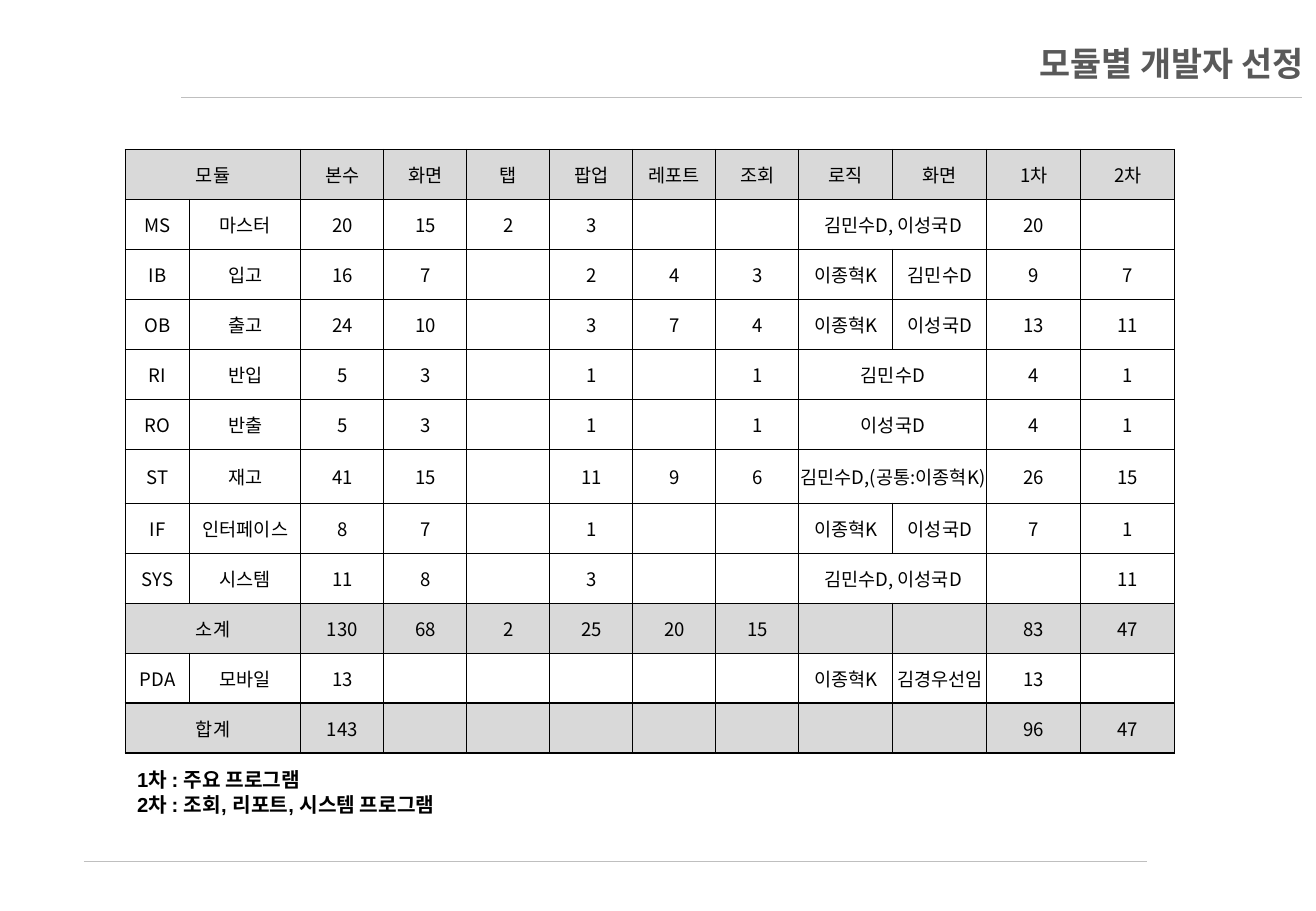
from dataclasses import dataclass

from lxml.etree import SubElement
from pptx import Presentation
from pptx.dml.color import RGBColor as Rgb
from pptx.enum.dml import MSO_LINE as Dash
from pptx.enum.shapes import MSO_CONNECTOR as Connector
from pptx.enum.text import MSO_ANCHOR as Anchor, MSO_AUTO_SIZE as AutoSize, PP_ALIGN as Align
from pptx.oxml import parse_xml
from pptx.oxml.ns import nsdecls, qn
from pptx.util import Pt

EMU_PER_PX = 9144
TITLE_ONLY = 5
MERGE_LEFT = "<"


@dataclass(frozen=True)
class Theme:
    """Colours, fonts and sizes of the slide."""
    ink: str = "000000"
    band: str = "D9D9D9"
    rule: str = "BFBFBF"
    title_top: str = "595959"
    title_bottom: str = "262626"
    latin: str = "Arial"
    korean: str = "Noto Sans CJK KR"
    title_size: int = 20
    table_size: int = 11
    note_size: int = 12
    rule_width: float = 0.25
    border_width: float = 0.75


THEME = Theme()
TITLE = "모듈별 개발자 선정"
COLUMN_WEIGHTS = [53, 91] + [68] * 6 + [77] * 4
BAND_LABELS = {"모듈", "소계", "합계"}
MODULE_ROWS = [row.split("|") for row in (
    "모듈|<|본수|화면|탭|팝업|레포트|조회|로직|화면|1차|2차",
    "MS|마스터|20|15|2|3|||김민수D, 이성국D|<|20|",
    "IB|입고|16|7||2|4|3|이종혁K|김민수D|9|7",
    "OB|출고|24|10||3|7|4|이종혁K|이성국D|13|11",
    "RI|반입|5|3||1||1|김민수D|<|4|1",
    "RO|반출|5|3||1||1|이성국D|<|4|1",
    "ST|재고|41|15||11|9|6|김민수D,(공통:이종혁K)|<|26|15",
    "IF|인터페이스|8|7||1|||이종혁K|이성국D|7|1",
    "SYS|시스템|11|8||3|||김민수D, 이성국D|<||11",
    "소계|<|130|68|2|25|20|15|||83|47",
    "PDA|모바일|13||||||이종혁K|김경우선임|13|",
    "합계|<|143||||||||96|47",
)]
PHASE_NOTES = ["1차 : 주요 프로그램", "2차 : 조회, 리포트, 시스템 프로그램"]


def px(length):
    """Turn pixels into EMU."""
    return round(length * EMU_PER_PX)


def apply(target, formats):
    """Set each format value on the target."""
    for name, value in formats.items():
        setattr(target, name, value)


def write(paragraph, text, align, size, latin, bold=False):
    """Put one formatted run in the paragraph and return its font."""
    paragraph.alignment = align
    run = paragraph.add_run()
    run.text = text
    apply(run.font, {"size": Pt(size), "name": latin, "bold": bold})
    run.font.color.rgb = Rgb.from_string(THEME.ink)
    SubElement(run.font._element, qn("a:ea"), typeface=THEME.korean)
    return run.font


def add_title(slide, box):
    """Place the right-aligned title with its gradient text."""
    title = slide.shapes.title
    apply(title, dict(zip(("left", "top", "width", "height"), map(px, box))))
    frame = title.text_frame
    apply(frame, {"vertical_anchor": Anchor.MIDDLE, "word_wrap": True, "auto_size": AutoSize.NONE})
    font = write(frame.paragraphs[0], TITLE, Align.RIGHT, THEME.title_size, THEME.latin, True)
    font.fill.gradient()
    font.fill.gradient_angle = 90
    for stop, colour in zip(font.fill.gradient_stops, (THEME.title_top, THEME.title_bottom)):
        stop.color.rgb = Rgb.from_string(colour)


def add_rule(slide, box):
    """Draw a dotted horizontal rule along the top of the box."""
    left, top, width, _ = box
    rule = slide.shapes.add_connector(
        Connector.STRAIGHT, px(left), px(top), px(left + width), px(top))
    apply(rule.line, {"width": Pt(THEME.rule_width), "dash_style": Dash.ROUND_DOT})
    rule.line.color.rgb = Rgb.from_string(THEME.rule)
    SubElement(rule._element.spPr, qn("a:effectLst"))


def add_borders(cell):
    """Give the cell a thin border on all four sides."""
    properties = cell._tc.get_or_add_tcPr()
    for position, side in enumerate(("lnL", "lnR", "lnT", "lnB")):
        properties.insert(position, parse_xml(
            f'<a:{side} {nsdecls("a")} w="{Pt(THEME.border_width)}"><a:solidFill>'
            f'<a:srgbClr val="{THEME.ink}"/></a:solidFill></a:{side}>'))


def format_cell(cell, text, banded):
    """Fill, border and write one table cell."""
    margins = dict.fromkeys(("margin_left", "margin_right", "margin_top", "margin_bottom"), 0)
    apply(cell, {"vertical_anchor": Anchor.MIDDLE, **margins})
    if banded:
        cell.fill.solid()
        cell.fill.fore_color.rgb = Rgb.from_string(THEME.band)
    else:
        cell.fill.background()
    add_borders(cell)
    if text and text != MERGE_LEFT:
        write(cell.text_frame.paragraphs[0], text, Align.CENTER, THEME.table_size, THEME.korean)


def add_module_table(slide, box):
    """Build the table of modules, program counts and developers."""
    left, top, width, height = box
    table = slide.shapes.add_table(
        len(MODULE_ROWS), len(COLUMN_WEIGHTS), px(left), px(top), px(width), px(height)).table
    apply(table, {"first_row": False, "horz_banding": False})
    for column, weight in zip(table.columns, COLUMN_WEIGHTS):
        column.width = px(width * weight / sum(COLUMN_WEIGHTS))
    for row_index, module in enumerate(MODULE_ROWS):
        table.rows[row_index].height = px(height / len(MODULE_ROWS))
        for column_index, text in enumerate(module):
            cell = table.cell(row_index, column_index)
            format_cell(cell, text, module[0] in BAND_LABELS)
            if text == MERGE_LEFT:
                table.cell(row_index, column_index - 1).merge(cell)


def add_phase_notes(slide, box):
    """Write the notes that explain the two phases."""
    frame = slide.shapes.add_textbox(*map(px, box)).text_frame
    apply(frame, {"word_wrap": True, "auto_size": AutoSize.SHAPE_TO_FIT_TEXT})
    for index, note in enumerate(PHASE_NOTES):
        paragraph = frame.add_paragraph() if index else frame.paragraphs[0]
        write(paragraph, note, Align.LEFT, THEME.note_size, THEME.latin, True)


def main():
    """Build and save the slide."""
    deck = Presentation()
    apply(deck, {"slide_width": px(1083), "slide_height": px(750)})
    slide = deck.slides.add_slide(deck.slide_layouts[TITLE_ONLY])
    add_rule(slide, (149, 80, 922, 0))
    add_rule(slide, (69, 709, 874, 0))
    add_title(slide, (108, 29, 975, 45))
    add_module_table(slide, (103, 123, 864, 494))
    add_phase_notes(slide, (103, 627, 453, 50))
    deck.save("out.pptx")


if __name__ == "__main__":
    main()
